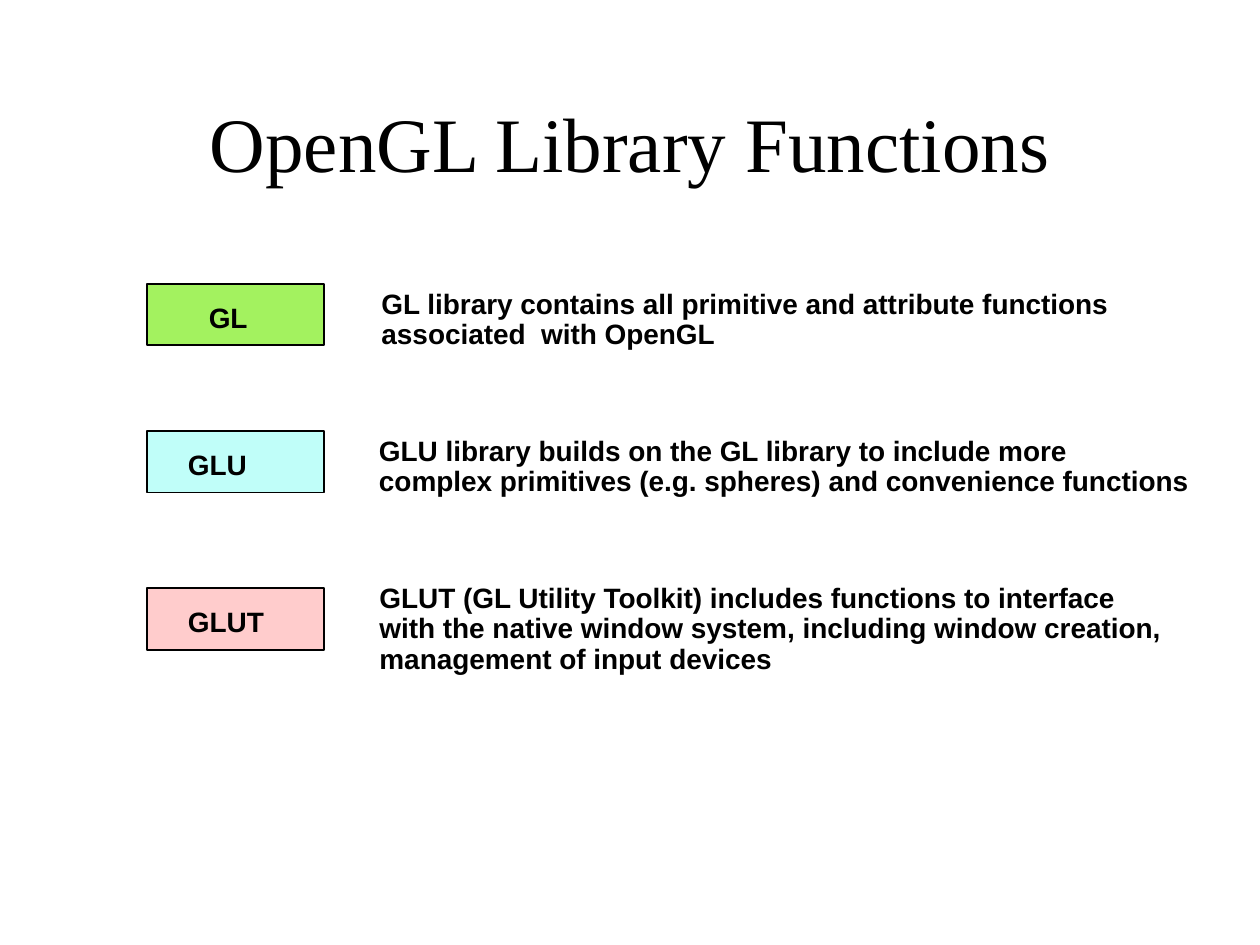
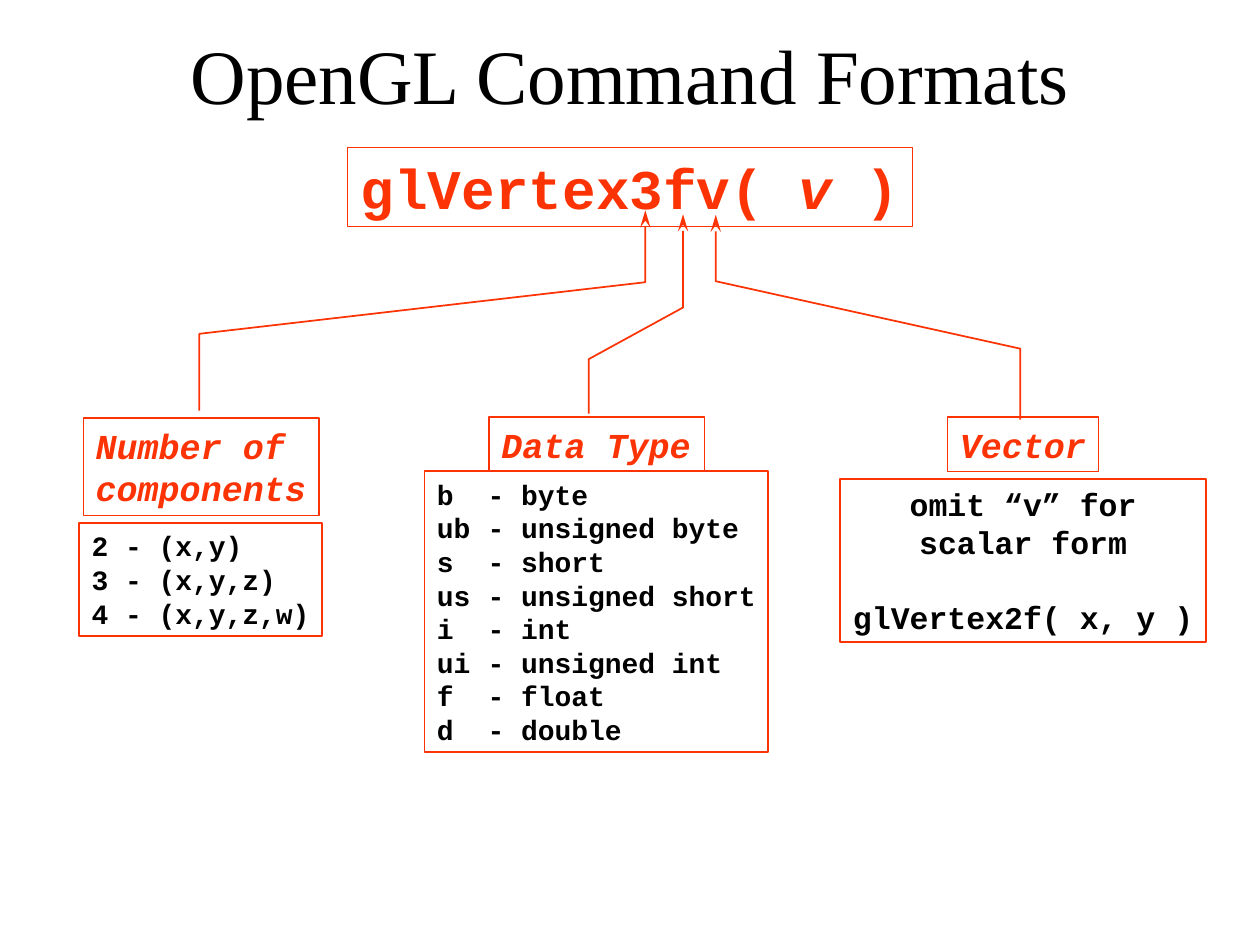
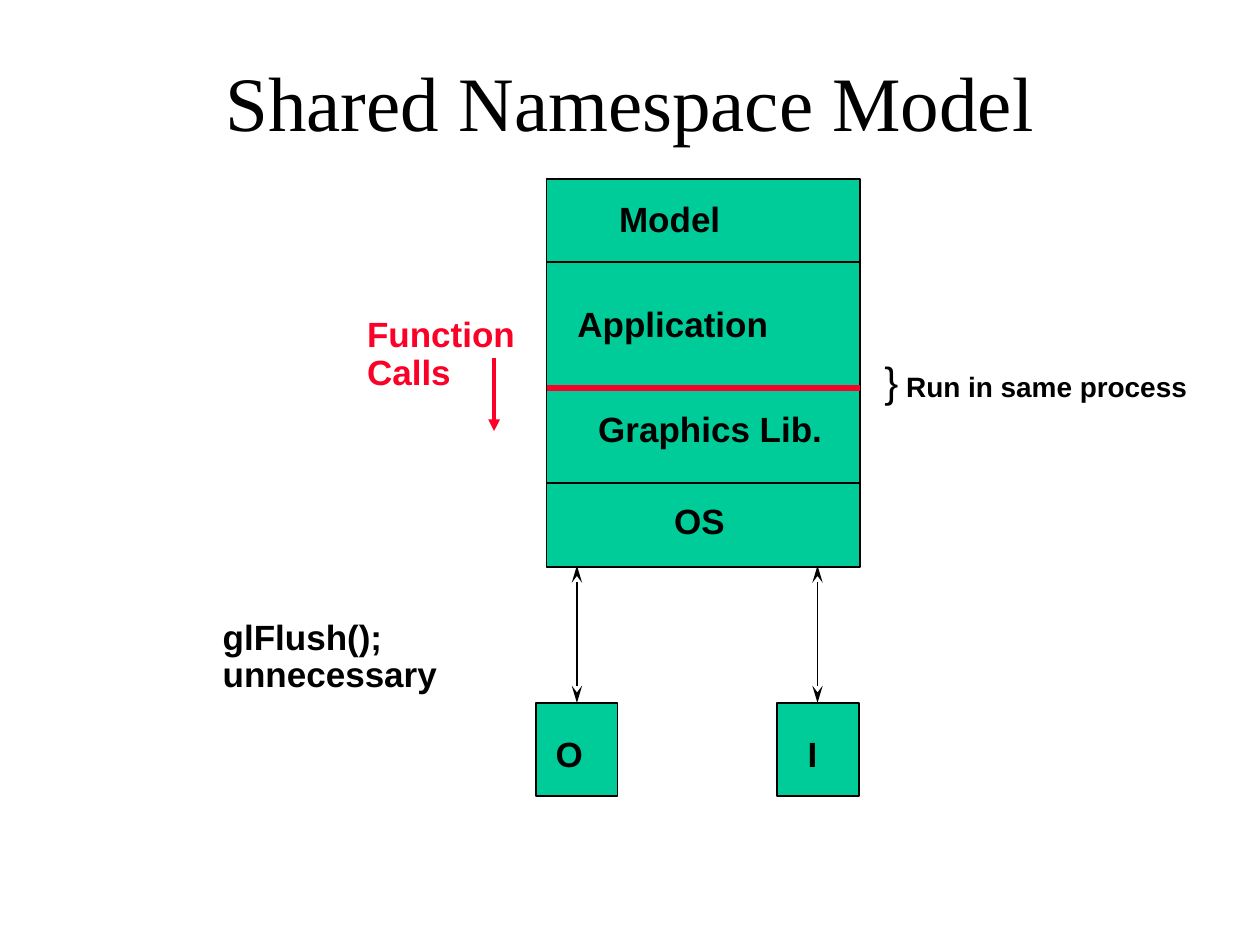
from dataclasses import dataclass, field
from typing import Any, NamedTuple, Optional, Union

from lxml.etree import SubElement
from pptx import Presentation
from pptx.dml.color import RGBColor
from pptx.enum.shapes import MSO_CONNECTOR, MSO_SHAPE
from pptx.enum.text import MSO_ANCHOR, MSO_AUTO_SIZE, PP_ALIGN
from pptx.oxml.ns import qn
from pptx.shapes.shapetree import GroupShapes, SlideShapes
from pptx.util import Cm, Pt

BLACK = RGBColor(0x00, 0x00, 0x00)
LIME = RGBColor(0xA3, 0xF2, 0x5F)
AQUA = RGBColor(0xC0, 0xFE, 0xF9)
PINK = RGBColor(0xFF, 0xCC, 0xCC)
ORANGE = RGBColor(0xFC, 0x33, 0x04)
TEAL = RGBColor(0x00, 0xCC, 0x99)
RED = RGBColor(0xFC, 0x01, 0x28)

Format = dict[str, Any]
TITLE: Format = {"name": "Times New Roman", "size": Pt(44)}
NOTE: Format = {"name": "Arial", "size": Pt(16), "bold": True}
LABEL: Format = NOTE | {"size": Pt(20)}
CODE: Format = {"name": "Courier New", "size": Pt(16), "bold": True}
FORM: Format = CODE | {"size": Pt(18)}
HEAD: Format = CODE | {"size": Pt(20), "italic": True}
COMMAND: Format = CODE | {"size": Pt(32)}
TIGHT: Format = {"line_spacing": 0.9}
CENTER: Format = {"alignment": PP_ALIGN.CENTER}

Shapes = Union[SlideShapes, GroupShapes]


class Box(NamedTuple):
    """Left, top, width and height in centimetres."""
    left: float
    top: float
    width: float
    height: float


class Run(NamedTuple):
    text: str
    font: Format = {}


@dataclass
class Text:
    box: Box
    lines: list[Union[str, list[Run]]]
    font: Format
    color: RGBColor = BLACK
    para: Format = field(default_factory=dict)
    fill: Optional[RGBColor] = None
    edge: Optional[RGBColor] = None
    weight: float = 1
    tab: float = 0


@dataclass
class Line:
    start: tuple[float, float]
    end: tuple[float, float]
    color: RGBColor = BLACK
    weight: float = 1
    heads: tuple[str, ...] = ()


class Arrow(NamedTuple):
    """Path down from the tip, across between two bends, down to the foot."""
    tip: tuple[float, float]
    bends: tuple[float, float]
    foot: tuple[float, float]


class Library(NamedTuple):
    name: str
    fill: RGBColor
    top: float
    label: Box
    about: Box
    lines: list[str]


LIBRARIES = [
    Library("GL", LIME, 5.72, Box(3.96, 6.02, 1.4, 0.86), Box(7.44, 5.72, 15.3, 1.47),
            ["GL library contains all primitive and attribute functions",
             "associated  with OpenGL"]),
    Library("GLU", AQUA, 8.69, Box(3.54, 8.97, 1.8, 0.86), Box(7.39, 8.69, 16.95, 1.47),
            ["GLU library builds on the GL library to include more",
             "complex primitives (e.g. spheres) and convenience functions"]),
    Library("GLUT", PINK, 11.86, Box(3.54, 12.14, 2.16, 0.86), Box(7.4, 11.66, 16.4, 2.06),
            ["GLUT (GL Utility Toolkit) includes functions to interface",
             "with the native window system, including window creation,",
             "management of input devices"]),
]

FRAME: Format = {"edge": ORANGE}
THIN: Format = {"edge": ORANGE, "color": ORANGE, "weight": 0.75}
FORMATS = [
    Text(Box(7.01, 2.97, 11.38, 1.6),
         [[Run("glVertex3fv( "), Run("v", {"italic": True}), Run(" )")]],
         COMMAND, para=CENTER, **THIN),
    Text(Box(1.68, 8.43, 4.75, 1.96), ["Number of", "components"], HEAD, **THIN),
    Text(Box(1.6, 10.54, 4.9, 2.29), ["2 - (x,y)", "3 - (x,y,z)", "4 - (x,y,z,w)"],
         CODE, **FRAME),
    Text(Box(9.86, 8.41, 4.34, 1.09), ["Data Type"], HEAD, **THIN),
    Text(Box(8.56, 9.5, 6.93, 5.66),
         ["b\t- byte", "ub\t- unsigned byte", "s\t- short", "us\t- unsigned short",
          "i\t- int", "ui\t- unsigned int", "f\t- float", "d\t- double"],
         CODE, tab=1.02, **FRAME),
    Text(Box(19.1, 8.41, 3.05, 1.09), ["Vector"], HEAD, **THIN),
]
SCALAR = Text(Box(16.94, 9.65, 7.37, 3.3),
              ["omit “v” for", "scalar form", "glVertex2f( x, y )"],
              FORM, para=CENTER, **FRAME)
ARROWS = [
    Arrow((13.77, 4.32), (6.2, 7.24), (11.87, 8.34)),
    Arrow((13.01, 4.24), (5.69, 6.73), (4.02, 8.28)),
    Arrow((14.43, 4.33), (5.67, 7.03), (20.57, 8.46)),
]

STACK = Box(11.02, 3.61, 6.32, 7.82)
RIGHT = STACK.left + STACK.width
LINES = [
    Line((STACK.left, 5.28), (RIGHT, 5.28)),
    Line((STACK.left, 7.82), (RIGHT, 7.82), RED, 3),
    Line((STACK.left, 9.73), (RIGHT, 9.73)),
    Line((11.63, 11.4), (11.63, 14.17), heads=("headEnd", "tailEnd")),
    Line((16.48, 11.4), (16.48, 14.17), heads=("headEnd", "tailEnd")),
]
CALL = Line((9.96, 7.21), (9.96, 8.69), RED, 2.25)
DEVICES = [(10.8, "O", Box(10.95, 14.73, 1.2, 1.02)),
           (15.67, "I", Box(16.03, 14.73, 0.85, 1.02))]
LABELS = [
    Text(Box(12.23, 3.96, 2.7, 1.02), ["Model"], LABEL, para=TIGHT),
    Text(Box(11.39, 6.07, 4.5, 1.02), ["Application"], LABEL, para=TIGHT),
    Text(Box(11.81, 8.18, 5.15, 1.02), ["Graphics Lib."], LABEL, para=TIGHT),
    Text(Box(13.34, 10.04, 1.7, 1.02), ["OS"], LABEL, para=TIGHT),
    Text(Box(7.15, 6.28, 3.6, 1.78), ["Function", "Calls"], LABEL, RED, TIGHT),
    Text(Box(17.58, 7.16, 6.75, 1.17),
         [[Run("}", {"size": Pt(24), "bold": False}), Run(" Run in same process")]],
         NOTE, para=TIGHT),
    Text(Box(4.24, 12.37, 4.95, 1.78), ["glFlush();", "unnecessary"], LABEL, para=TIGHT),
]


def apply(target: Any, values: Format) -> None:
    for name, value in values.items():
        setattr(target, name, value)


def paint(shape: Any, fill: Optional[RGBColor], edge: Optional[RGBColor],
          weight: float = 1) -> None:
    shape.shadow.inherit = False
    if fill is None:
        shape.fill.background()
    else:
        shape.fill.solid()
        shape.fill.fore_color.rgb = fill
    if edge is None:
        shape.line.fill.background()
    else:
        shape.line.color.rgb = edge
        shape.line.width = Pt(weight)


def add_rect(shapes: Shapes, box: Box, fill: Optional[RGBColor],
             edge: Optional[RGBColor], weight: float = 1) -> Any:
    rect = shapes.add_shape(MSO_SHAPE.RECTANGLE, *map(Cm, box))
    paint(rect, fill, edge, weight)
    return rect


def add_text(shapes: Shapes, text: Text) -> Any:
    if text.fill is None and text.edge is None:
        shape = shapes.add_textbox(*map(Cm, text.box))
    else:
        shape = add_rect(shapes, text.box, text.fill, text.edge, text.weight)
    frame = shape.text_frame
    apply(frame, {"word_wrap": False, "auto_size": MSO_AUTO_SIZE.SHAPE_TO_FIT_TEXT,
                  "vertical_anchor": MSO_ANCHOR.TOP})
    for i, line in enumerate(text.lines):
        para = frame.add_paragraph() if i else frame.paragraphs[0]
        apply(para, {"alignment": PP_ALIGN.LEFT} | text.para)
        if text.tab:
            stops = SubElement(para._p.get_or_add_pPr(), qn("a:tabLst"))
            SubElement(stops, qn("a:tab"), pos=str(Cm(text.tab)), algn="l")
        for part in [Run(line)] if isinstance(line, str) else line:
            run = para.add_run()
            run.text = part.text
            apply(run.font, text.font | part.font)
            run.font.color.rgb = text.color
    return shape


def add_head(shape: Any, end: str, kind: str, size: str) -> None:
    edge = shape._element.spPr.find(qn("a:ln"))
    SubElement(edge, qn(f"a:{end}"), type=kind, w="med", len=size)


def add_line(shapes: Shapes, line: Line) -> Any:
    link = shapes.add_connector(MSO_CONNECTOR.STRAIGHT, *map(Cm, line.start + line.end))
    link.line.color.rgb = line.color
    link.line.width = Pt(line.weight)
    SubElement(link._element.spPr, qn("a:effectLst"))
    for end in line.heads:
        add_head(link, end, "stealth", "lg")
    return link


def add_arrow(shapes: Shapes, arrow: Arrow) -> None:
    (left, _), (right, _) = arrow.tip, arrow.foot
    high, low = arrow.bends
    path = [arrow.tip, (left, high), (right, low), arrow.foot]
    first, *rest = [(Cm(x), Cm(y)) for x, y in path]
    draft = shapes.build_freeform(*first)
    draft.add_line_segments(rest, close=False)
    shape = draft.convert_to_shape()
    paint(shape, None, ORANGE)
    add_head(shape, "headEnd", "stealth", "lg")


def add_slide(deck: Any, title: str, top: float, height: float) -> SlideShapes:
    shapes = deck.slides.add_slide(deck.slide_layouts[6]).shapes
    box = Box(1.9, top, 21.6, height)
    shape = add_text(shapes, Text(box, [title], TITLE, para=CENTER))
    apply(shape.text_frame, {"word_wrap": True, "auto_size": MSO_AUTO_SIZE.NONE,
                             "vertical_anchor": MSO_ANCHOR.MIDDLE})
    return shapes


def draw_libraries(deck: Any) -> None:
    shapes = add_slide(deck, "OpenGL Library Functions", 1.69, 2.34)
    for lib in LIBRARIES:
        group = shapes.add_group_shape().shapes
        add_rect(group, Box(2.97, lib.top, 3.56, 1.24), lib.fill, BLACK)
        add_text(group, Text(lib.label, [lib.name], NOTE, para=TIGHT, fill=lib.fill))
        add_text(shapes, Text(lib.about, lib.lines, NOTE, para=TIGHT))


def draw_formats(deck: Any) -> None:
    shapes = add_slide(deck, "OpenGL Command Formats", 0.43, 2.11)
    for text in FORMATS:
        add_text(shapes, text)
    scalar = add_text(shapes, SCALAR)
    scalar.text_frame.paragraphs[-1].space_before = Cm(0.76)
    for arrow in ARROWS:
        add_arrow(shapes, arrow)


def draw_model(deck: Any) -> None:
    shapes = add_slide(deck, "Shared Namespace Model", 0.44, 3.18)
    add_rect(shapes, STACK, TEAL, BLACK)
    for line in LINES:
        add_line(shapes, line)
    for left, name, box in DEVICES:
        group = shapes.add_group_shape().shapes
        add_rect(group, Box(left, 14.17, 1.65, 1.88), TEAL, BLACK)
        add_text(group, Text(box, [name], LABEL, para=TIGHT))
    add_head(add_line(shapes, CALL), "tailEnd", "triangle", "med")
    for text in LABELS:
        add_text(shapes, text)


def main() -> None:
    deck = Presentation()
    apply(deck, {"slide_width": Cm(25.4), "slide_height": Cm(19.05)})
    for draw in (draw_libraries, draw_formats, draw_model):
        draw(deck)
    deck.save("out.pptx")


if __name__ == "__main__":
    main()
